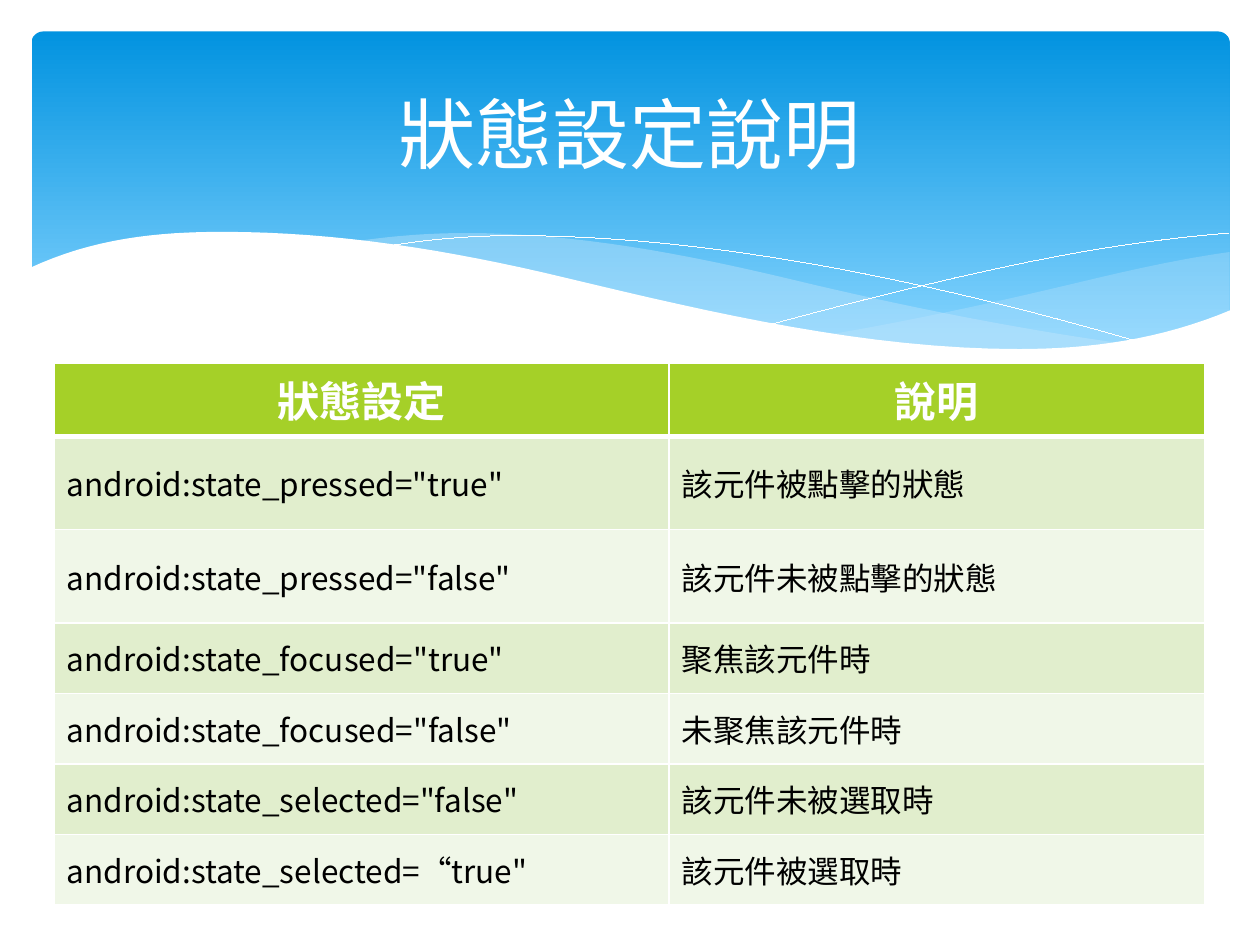
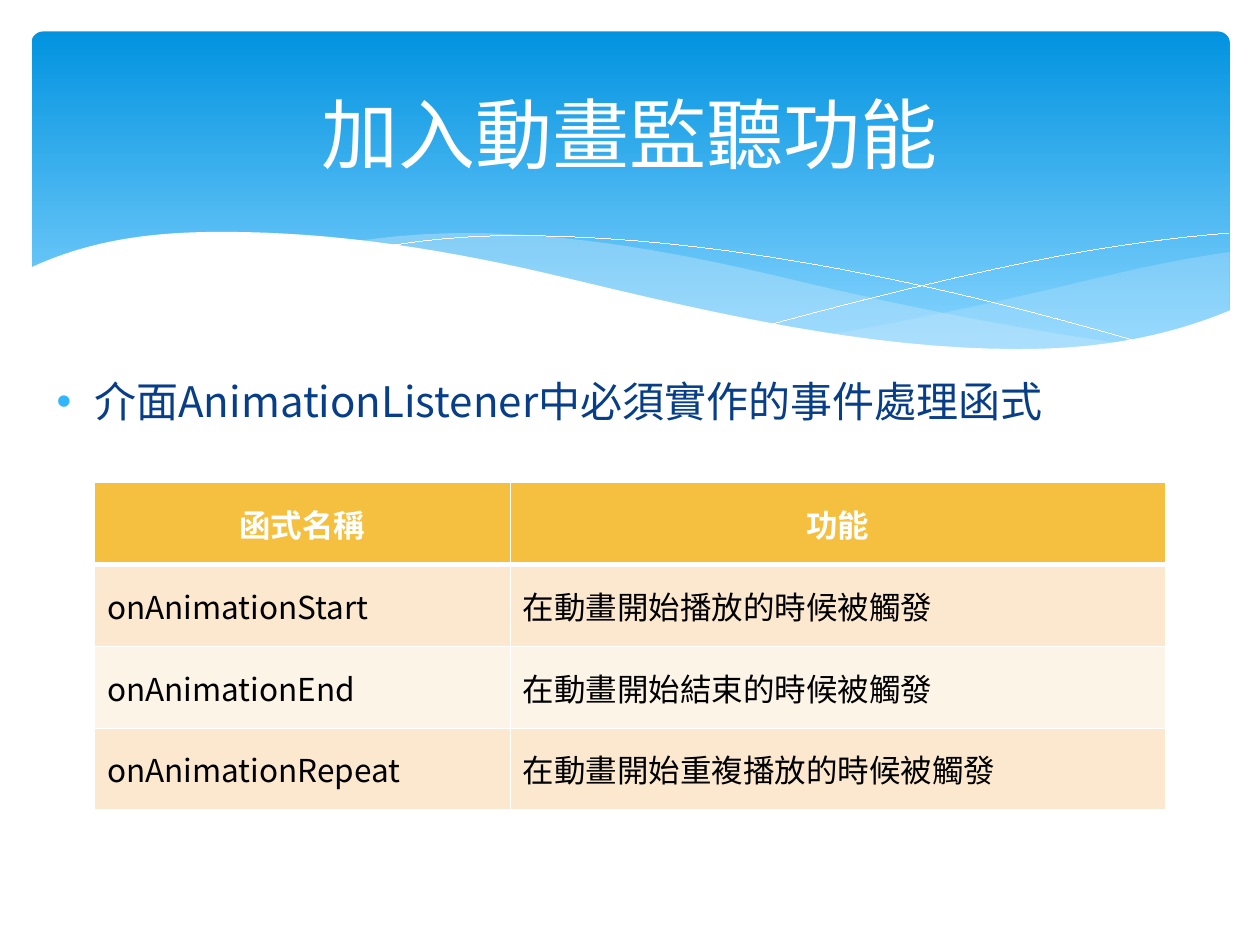
from dataclasses import dataclass
from itertools import pairwise

from lxml import etree
from pptx import Presentation
from pptx.dml.color import RGBColor
from pptx.enum.shapes import MSO_SHAPE
from pptx.enum.text import MSO_ANCHOR, PP_ALIGN
from pptx.oxml.ns import qn
from pptx.util import Inches, Pt


@dataclass(frozen=True)
class Theme:
    font: str = "Noto Sans CJK SC"
    white: str = "FFFFFF"
    black: str = "000000"
    band_top: str = "0293E0"
    band_bottom: str = "83D3FE"
    wave: str = "C6E7FC"
    body: str = "073E87"
    bullet: str = "31B6FD"
    green: tuple = ("A5D028", "E1EECD", "F0F7E8")   # header, odd row, even row
    amber: tuple = ("F5C040", "FBE8CF", "FDF4E8")
    title_size: int = 44
    large: int = 24
    small: int = 18
    hairline: float = 0.01
    thin_rule: int = 1
    thick_rule: int = 3


theme = Theme()


def write(frame, text, size, color, bold=False, align=None):
    """Put one formatted line into a text frame."""
    paragraph = frame.paragraphs[0]
    paragraph.alignment = align
    run = paragraph.add_run()
    run.text = text
    font = run.font
    font.name, font.size, font.bold = theme.font, Pt(size), bold
    font.color.rgb = RGBColor.from_string(color)
    etree.SubElement(font._element, qn("a:ea"), typeface=theme.font)
    return paragraph


def trace(knots, steps=16):
    """Join knots (x, y, slope) by cubic Hermite curves; return points in inches."""
    points = [knots[0][:2]]
    for (x0, y0, slope0), (x1, y1, slope1) in pairwise(knots):
        span = x1 - x0
        for step in range(1, steps + 1):
            t = step / steps
            blend = t * t * (3 - 2 * t)
            y = (y0 + (y1 - y0) * blend
                 + span * slope0 * t * (1 - t) ** 2
                 - span * slope1 * t * t * (1 - t))
            points.append((x0 + span * t, y))
    return points


prs = Presentation()
prs.slide_width, prs.slide_height = Inches(10), Inches(7.5)
master = prs.slide_master
state_slide = prs.slides.add_slide(prs.slide_layouts.get_by_name("Title Only"))
listener_slide = prs.slides.add_slide(prs.slide_layouts.get_by_name("Title and Content"))

# Shared band: gradient panel
panel = state_slide.shapes.add_shape(
    MSO_SHAPE.ROUNDED_RECTANGLE, Inches(0.25), Inches(0.25), Inches(9.51), Inches(2.7))
panel.adjustments[0] = 0.034
panel.fill.gradient()
panel.fill.gradient_angle = 270
for stop, position, color in zip(panel.fill.gradient_stops, (0, 0.9),
                                 (theme.band_top, theme.band_bottom)):
    stop.position = position
    stop.color.rgb = RGBColor.from_string(color)
panel.line.fill.background()
band = [panel]

# Shared band: each curve is given by its ends, crests and inflections
right_top = trace([(6.61, 2.65, -0.17), (8.61, 2.23, -0.24), (9.76, 2, -0.14)])
right_bottom = trace([(6.61, 2.65, 0.14), (8.08, 2.78, 0), (9.76, 2.47, -0.4)])
middle_top = trace([(2.86, 1.91, -0.14), (3.7, 1.85, 0), (6.29, 2.22, 0.24),
                    (8.93, 2.73, 0.14)])
middle_bottom = trace([(2.86, 1.91, 0.13), (4.49, 2.22, 0.24), (8.1, 2.78, 0),
                       (8.93, 2.73, -0.11)])
falling_line = trace([(3.09, 1.95, -0.16), (4.08, 1.87, 0), (6.36, 2.08, 0.17),
                      (9.07, 2.72, 0.29)])
rising_line = trace([(6.13, 2.57, -0.27), (8.06, 2.1, -0.21), (9.75, 1.85, -0.08)])
page_edge = trace([(0.23, 2.13, -0.47), (1.77, 1.84, 0), (4.47, 2.2, 0.24),
                   (8.09, 2.77, 0), (9.77, 2.46, -0.42)])
page_corners = [(9.77, 3.29), (0.23, 3.29)]

# An area lies between a top and a bottom curve; opacity None marks a hairline
for points, color, opacity in [
        (right_top + right_bottom[::-1], theme.wave, 29),
        (middle_top + middle_bottom[::-1], theme.wave, 40),
        (falling_line, theme.white, None),
        (rising_line, theme.white, None),
        (page_edge + page_corners, theme.white, 100)]:
    start, *rest = [(Inches(x), Inches(y)) for x, y in points]
    builder = state_slide.shapes.build_freeform(*start)
    builder.add_line_segments(rest, close=opacity is not None)
    wave = builder.convert_to_shape()
    if opacity is None:
        wave.fill.background()
        wave.line.color.rgb = RGBColor.from_string(color)
        wave.line.width = Pt(theme.hairline)
    else:
        wave.fill.solid()
        wave.fill.fore_color.rgb = RGBColor.from_string(color)
        wave.line.fill.background()
        if opacity < 100:
            rgb = wave.element.spPr.find(".//" + qn("a:srgbClr"))
            etree.SubElement(rgb, qn("a:alpha"), val=str(opacity * 1000))
    band.append(wave)

# Move the band to the master, behind its placeholders
master_tree = master.element.cSld.spTree
for order, shape in enumerate(band):
    shape.shadow.inherit = False
    shape.element.nvSpPr.cNvPr.set("id", str(101 + order))
    master_tree.insert(2 + order, shape.element)

# Titles share one place, set on the master
master_title = master.placeholders[0]
master_title.left, master_title.top = Inches(0.5), Inches(0.37)
master_title.width, master_title.height = Inches(9), Inches(1.37)
for slide, title in [(state_slide, "狀態設定說明"), (listener_slide, "加入動畫監聽功能")]:
    slide.shapes.title.text_frame.vertical_anchor = MSO_ANCHOR.MIDDLE
    write(slide.shapes.title.text_frame, title, theme.title_size, theme.white,
          align=PP_ALIGN.CENTER)

# Bullet above the listener table
body = listener_slide.placeholders[1]
body.left, body.top = Inches(0.35), Inches(2.93)
body.width, body.height = Inches(9.37), Inches(3.77)
bullet = write(body.text_frame, "介面AnimationListener中必須實作的事件處理函式",
               theme.large, theme.body)
bullet.space_before = Pt(theme.large * 0.2)
bullet_properties = bullet._p.get_or_add_pPr()
bullet_properties.set("marL", str(Inches(0.3)))
bullet_properties.set("indent", str(-Inches(0.3)))
bullet_color = etree.SubElement(bullet_properties, qn("a:buClr"))
etree.SubElement(bullet_color, qn("a:srgbClr"), val=theme.bullet)
etree.SubElement(bullet_properties, qn("a:buChar"), char="•")

# Table contents, header first
state_rows = [
    ("狀態設定", "說明"),
    ('android:state_pressed="true"', "該元件被點擊的狀態"),
    ('android:state_pressed="false"', "該元件未被點擊的狀態"),
    ('android:state_focused="true"', "聚焦該元件時"),
    ('android:state_focused="false"', "未聚焦該元件時"),
    ('android:state_selected="false"', "該元件未被選取時"),
    ('android:state_selected=“true"', "該元件被選取時")]
listener_rows = [
    ("函式名稱", "功能"),
    ("onAnimationStart", "在動畫開始播放的時候被觸發"),
    ("onAnimationEnd", "在動畫開始結束的時候被觸發"),
    ("onAnimationRepeat", "在動畫開始重複播放的時候被觸發")]
state_heights = [0.56, 0.74, 0.74] + [0.56] * 4
listener_heights = [0.65] * 4

# Both tables: coloured header, striped rows, white rules
for slide, left, top, widths, heights, rows, colors, header_size in [
        (state_slide, 0.43, 2.88, (4.88, 4.25), state_heights, state_rows,
         theme.green, theme.large),
        (listener_slide, 0.75, 3.83, (3.3, 5.2), listener_heights, listener_rows,
         theme.amber, theme.small)]:
    table = slide.shapes.add_table(
        len(rows), len(widths), Inches(left), Inches(top),
        Inches(sum(widths)), Inches(sum(heights))).table
    header_fill, odd_fill, even_fill = colors
    for column, width in zip(table.columns, widths):
        column.width = Inches(width)
    for r, (values, height) in enumerate(zip(rows, heights)):
        table.rows[r].height = Inches(height)
        if r == 0:
            fill, style = header_fill, (header_size, theme.white, True, PP_ALIGN.CENTER)
        else:
            fill = odd_fill if r % 2 else even_fill
            style = (theme.small, theme.black, False, PP_ALIGN.LEFT)
        # The rule between header and first row is thicker than the others
        rules = {"lnL": theme.thin_rule, "lnR": theme.thin_rule,
                 "lnT": theme.thick_rule if r == 1 else theme.thin_rule,
                 "lnB": theme.thick_rule if r == 0 else theme.thin_rule}
        for cell, value in zip(table.rows[r].cells, values):
            cell.vertical_anchor = MSO_ANCHOR.MIDDLE
            cell.fill.solid()
            cell.fill.fore_color.rgb = RGBColor.from_string(fill)
            write(cell.text_frame, value, *style)
            properties = cell._tc.get_or_add_tcPr()
            for place, (side, rule) in enumerate(rules.items()):
                line = etree.Element(qn(f"a:{side}"), w=str(Pt(rule)))
                solid = etree.SubElement(line, qn("a:solidFill"))
                etree.SubElement(solid, qn("a:srgbClr"), val=theme.white)
                properties.insert(place, line)

prs.save("out.pptx")
